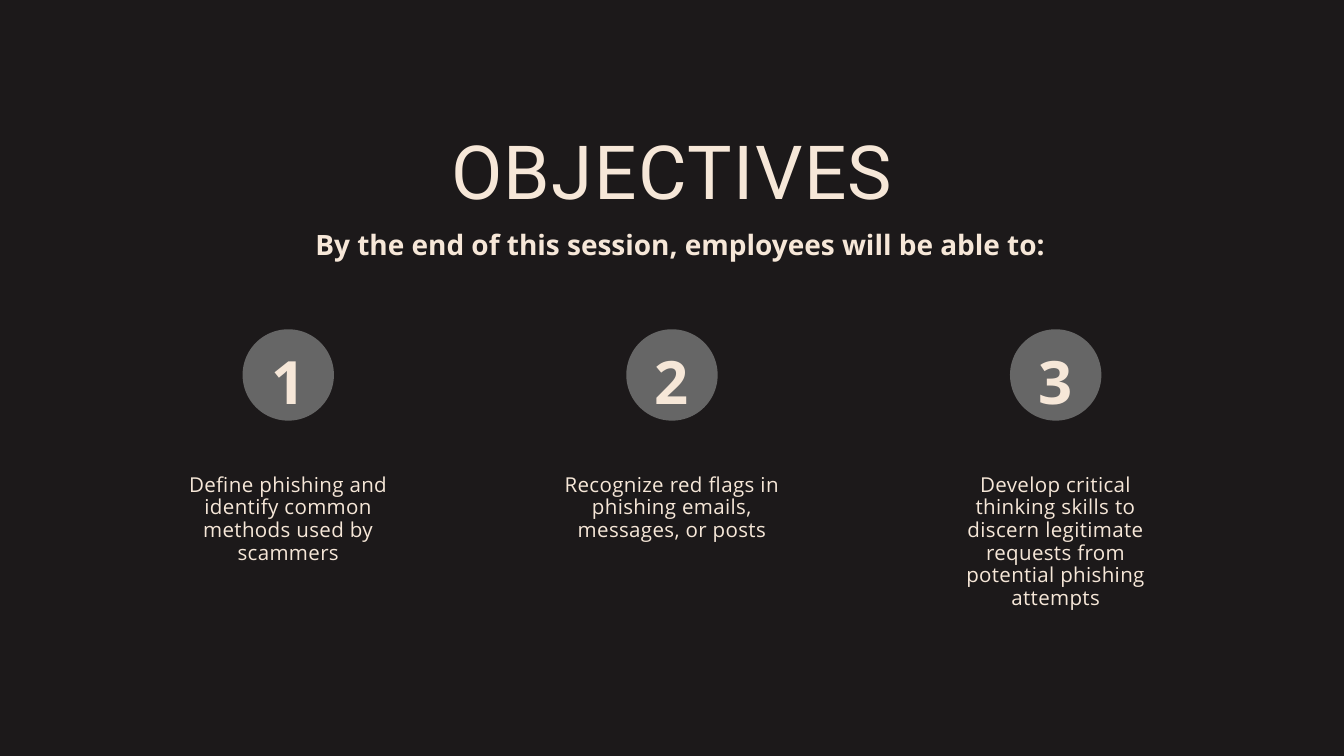
"""Build the training objectives slide with three numbered goals."""
import pptx
import pptx.dml.color
import pptx.enum.shapes
import pptx.enum.text
import pptx.util

THEME = {
    "background": "1C191A",
    "cream": "F6E7D8",
    "badge": "666666",
    "title": {"font": "Roboto", "size": 80, "line": 96, "tracking": 160, "bold": False},
    "lead": {"font": "Open Sans", "size": 30, "line": 42, "tracking": 0, "bold": True},
    "number": {"font": "Open Sans", "size": 64, "line": 100.5, "tracking": 320, "bold": True},
    "goal": {"font": "Open Sans", "size": 22, "line": 24.2, "tracking": 40, "bold": False},
}
GOALS = [
    ("Define phishing and identify common methods used by scammers", 1.34),
    ("Recognize red flags in phishing emails, messages, or posts", 1.01),
    ("Develop critical thinking skills to discern legitimate requests from potential phishing attempts", 2.01),
]
WIDTH, HEIGHT = 20, 11.25
COLUMN_STEP = 5.71
BADGE_SIZE = 1.36
GOAL_WIDTH = 3.27


def color(name):
    return pptx.dml.color.RGBColor.from_string(THEME[name])


def write(shape, text, role, left, top, width, height):
    style = THEME[role]
    shape.left, shape.top, shape.width, shape.height = (
        pptx.util.Inches(length) for length in (left, top, width, height)
    )
    frame = shape.text_frame
    frame.text = text
    frame.word_wrap = True
    frame.auto_size = pptx.enum.text.MSO_AUTO_SIZE.NONE
    frame.vertical_anchor = pptx.enum.text.MSO_ANCHOR.TOP
    frame.margin_left = frame.margin_right = frame.margin_top = frame.margin_bottom = 0
    paragraph = frame.paragraphs[0]
    paragraph.alignment = pptx.enum.text.PP_ALIGN.CENTER
    paragraph.line_spacing = pptx.util.Pt(style["line"])
    paragraph.space_before = pptx.util.Pt(0)
    run = paragraph.runs[0]
    run.font.name = style["font"]
    run.font.size = pptx.util.Pt(style["size"])
    run.font.bold = style["bold"]
    run.font.color.rgb = color("cream")
    run.font._element.set("spc", str(style["tracking"]))


presentation = pptx.Presentation()
presentation.slide_width = pptx.util.Inches(WIDTH)
presentation.slide_height = pptx.util.Inches(HEIGHT)
slide = presentation.slides.add_slide(presentation.slide_layouts[0])
slide.background.fill.solid()
slide.background.fill.fore_color.rgb = color("background")

write(slide.shapes.title, "OBJECTIVES", "title", 4.06, 1.85, 11.88, 1.35)
write(slide.placeholders[1], "By the end of this session, employees will be able to: ",
      "lead", 4.69, 3.3, 10.98, 0.55)

for index, (goal, goal_height) in enumerate(GOALS):
    center = WIDTH / 2 + (index - 1) * COLUMN_STEP
    badge_left = center - BADGE_SIZE / 2
    badge = slide.shapes.add_shape(
        pptx.enum.shapes.MSO_SHAPE.OVAL,
        pptx.util.Inches(badge_left), pptx.util.Inches(4.9),
        pptx.util.Inches(BADGE_SIZE), pptx.util.Inches(BADGE_SIZE),
    )
    badge.shadow.inherit = False
    badge.fill.solid()
    badge.fill.fore_color.rgb = color("badge")
    badge.line.fill.background()
    number_box = slide.shapes.add_textbox(0, 0, 0, 0)
    write(number_box, str(index + 1), "number", badge_left, 4.8, BADGE_SIZE, 1.31)
    goal_box = slide.shapes.add_textbox(0, 0, 0, 0)
    write(goal_box, goal, "goal", center - GOAL_WIDTH / 2, 7.05, GOAL_WIDTH, goal_height)

presentation.save("out.pptx")
